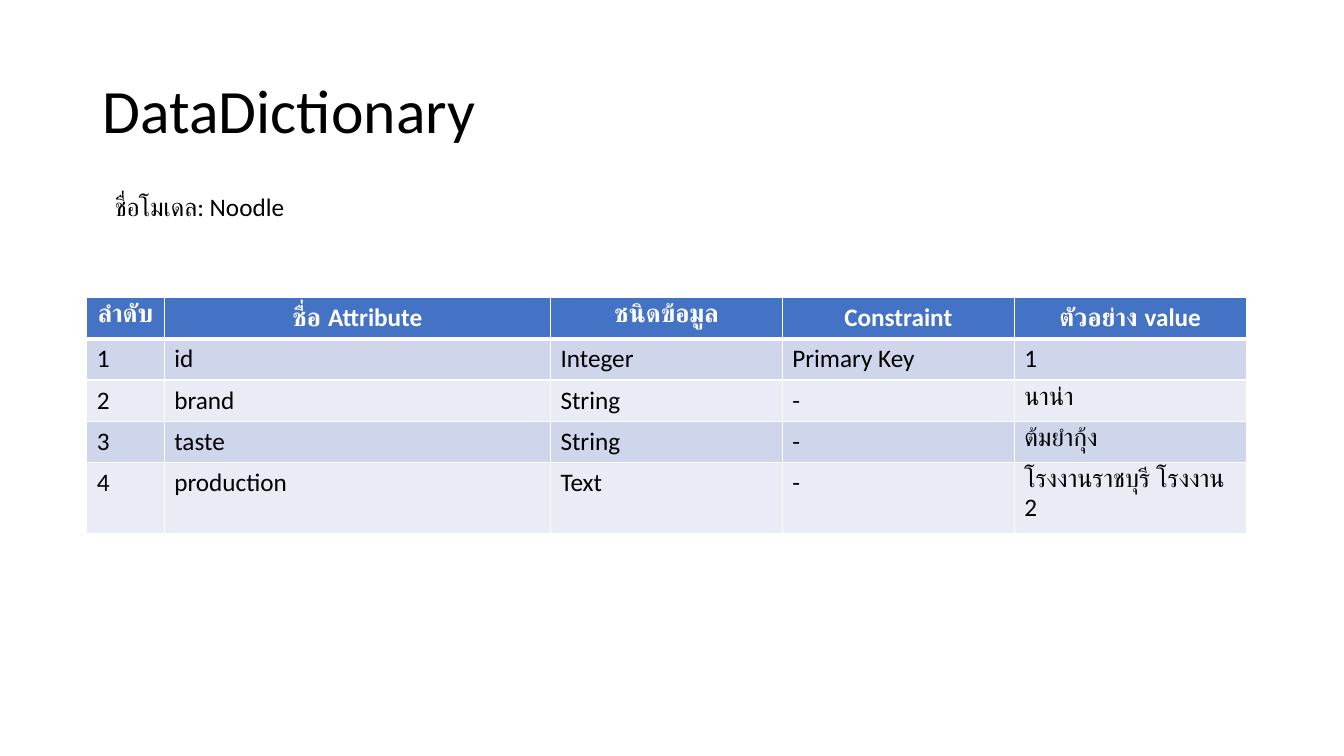
from dataclasses import dataclass

from pptx import Presentation
from pptx.dml.color import RGBColor
from pptx.enum.text import MSO_ANCHOR, PP_ALIGN
from pptx.oxml import parse_xml
from pptx.oxml.ns import nsdecls
from pptx.util import Inches, Pt


@dataclass(frozen=True)
class Theme:
    font: str = "Calibri"
    title_size: int = 44
    body_size: int = 18
    ink: str = "000000"
    white: str = "FFFFFF"
    header: str = "4472C4"
    bands: tuple = ("CFD5EA", "E9EBF5")


THEME = Theme()
COLUMN_WIDTHS = (0.77, 3.83, 2.3, 2.3, 2.3)
ROW_HEIGHT = 0.41
ATTRIBUTES = (
    ("ลำดับ", "ชื่อ Attribute", "ชนิดข้อมูล", "Constraint", "ตัวอย่าง value"),
    ("1", "id", "Integer", "Primary Key", "1"),
    ("2", "brand", "String", "-", "นาน่า"),
    ("3", "taste", "String", "-", "ต้มยำกุ้ง"),
    ("4", "production", "Text", "-", "โรงงานราชบุรี โรงงาน 2"),
)


def write(tf, text, size=THEME.body_size, color=THEME.ink, bold=False,
          align=PP_ALIGN.LEFT, spacing=None):
    p = tf.paragraphs[0]
    p.alignment = align
    p.line_spacing = spacing
    r = p.add_run()
    r.text = text
    r.font.name = THEME.font
    r.font.size = Pt(size)
    r.font.bold = bold
    r.font.color.rgb = RGBColor.from_string(color)


def add_text(s, text, left, top, width, height, anchor=MSO_ANCHOR.TOP, **style):
    sp = s.shapes.add_textbox(Inches(left), Inches(top), Inches(width), Inches(height))
    tf = sp.text_frame
    tf.word_wrap = True
    tf.vertical_anchor = anchor
    write(tf, text, **style)


def set_borders(cell, bottom):
    props = cell._tc.get_or_add_tcPr()
    widths = {"lnL": 1, "lnR": 1, "lnT": 1, "lnB": bottom}
    for i, (side, width) in enumerate(widths.items()):
        props.insert(i, parse_xml(
            f'<a:{side} {nsdecls("a")} w="{Pt(width)}"><a:solidFill>'
            f'<a:srgbClr val="{THEME.white}"/></a:solidFill></a:{side}>'))


def style_cell(cell, fill, bottom=1):
    cell.fill.solid()
    cell.fill.fore_color.rgb = RGBColor.from_string(fill)
    set_borders(cell, bottom)


def add_dictionary(s, left, top):
    frame = s.shapes.add_table(
        len(ATTRIBUTES), len(COLUMN_WIDTHS), Inches(left), Inches(top),
        Inches(sum(COLUMN_WIDTHS)), Inches(ROW_HEIGHT * len(ATTRIBUTES)))
    table = frame.table
    for column, width in zip(table.columns, COLUMN_WIDTHS):
        column.width = Inches(width)
    for i, values in enumerate(ATTRIBUTES):
        for j, value in enumerate(values):
            cell = table.cell(i, j)
            if i == 0:
                style_cell(cell, THEME.header, bottom=3)
                write(cell.text_frame, value, color=THEME.white, bold=True,
                      align=PP_ALIGN.CENTER)
            else:
                style_cell(cell, THEME.bands[(i - 1) % 2])
                write(cell.text_frame, value)


def main():
    prs = Presentation()
    prs.slide_width, prs.slide_height = Inches(13.33), Inches(7.5)
    s = prs.slides.add_slide(prs.slide_layouts[6])
    add_text(s, "DataDictionary", 0.92, 0.4, 11.5, 1.45,
             anchor=MSO_ANCHOR.MIDDLE, size=THEME.title_size, spacing=0.9)
    add_dictionary(s, 0.86, 2.95)
    add_text(s, "ชื่อโมเดล: Noodle", 1.04, 1.85, 4.09, 0.4)
    prs.save("out.pptx")


if __name__ == "__main__":
    main()
